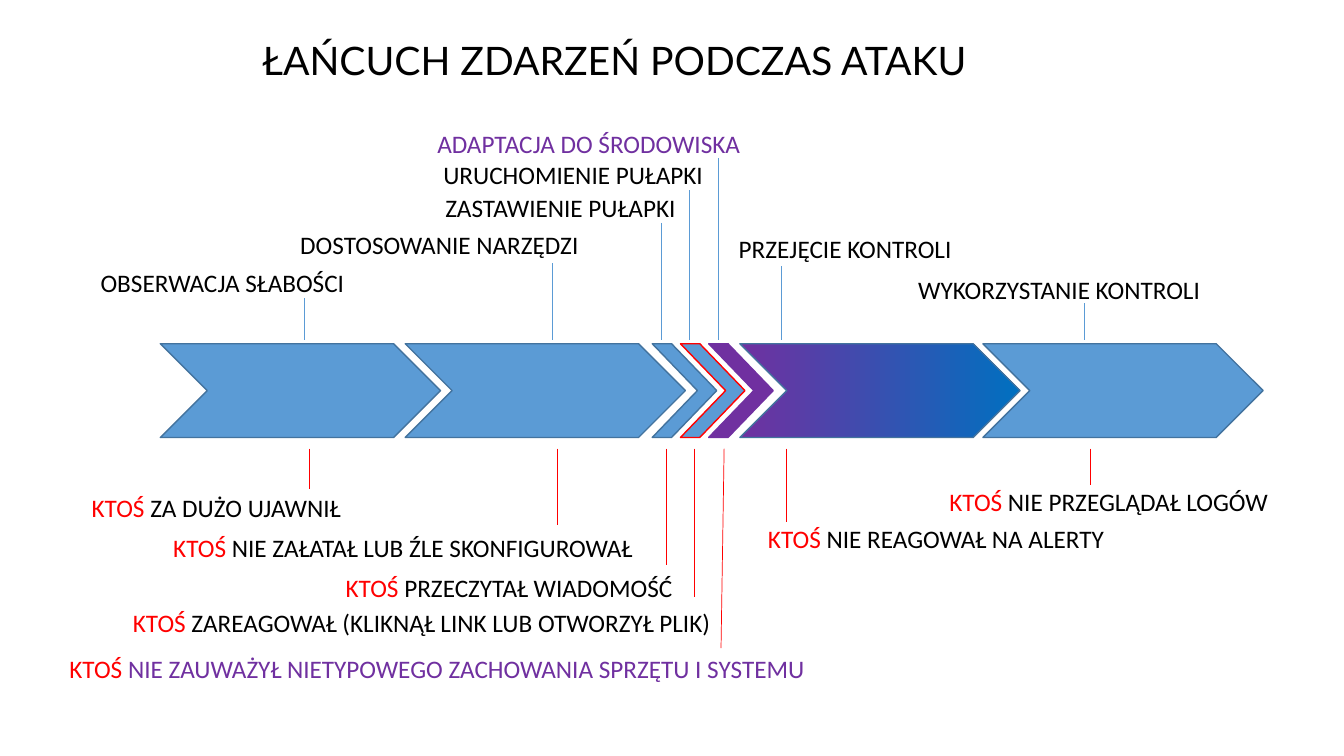
from lxml.etree import SubElement
from pptx import Presentation
from pptx.dml.color import RGBColor
from pptx.enum.shapes import MSO_CONNECTOR as Connector, MSO_SHAPE as Shape
from pptx.enum.text import MSO_AUTO_SIZE as AutoSize, PP_ALIGN as Align
from pptx.oxml.ns import qn
from pptx.util import Inches, Pt

BLACK, RED, PURPLE = "000000", "FF0000", "7030A0"
BLUE, DEEP_BLUE, EDGE = "5B9BD5", "0070C0", "43739E"

# All positions are percentages of the slide's width and height
TITLE = "ŁAŃCUCH ZDARZEŃ PODCZAS ATAKU"
WHO = "KTOŚ"

# Arrow: left, width, fill (two colours make a gradient), outline
WIDE, NARROW = 20.85, 4.8
ARROWS = [
    (11.93, WIDE, [BLUE], EDGE),
    (30.15, WIDE, [BLUE], EDGE),
    (48.53, NARROW, [BLUE], EDGE),
    (50.63, NARROW, [BLUE], RED),
    (52.73, NARROW, [PURPLE], PURPLE),
    (55.05, WIDE, [PURPLE, DEEP_BLUE], EDGE),
    (73.13, WIDE, [BLUE], EDGE),
]

# Stage above its arrow: text, colour, left, top, width, line x, line start
STAGES = [
    ("OBSERWACJA SŁABOŚCI", BLACK, 6.75, 34.67, 19.8, 22.65, 39.47),
    ("DOSTOSOWANIE NARZĘDZI", BLACK, 21.6, 29.73, 22.35, 41.1, 34.8),
    ("ZASTAWIENIE PUŁAPKI", BLACK, 32.4, 24.8, 18.75, 49.2, 29.47),
    ("URUCHOMIENIE PUŁAPKI", BLACK, 32.25, 20.4, 21, 51.3, 25.2),
    ("ADAPTACJA DO ŚRODOWISKA", PURPLE, 31.8, 16.27, 24.23, 53.48, 20.93),
    ("PRZEJĘCIE KONTROLI", BLACK, 54.23, 30.27, 17.48, 58.13, 35.2),
    ("WYKORZYSTANIE KONTROLI", BLACK, 67.58, 35.6, 22.65, 80.7, 40.13),
]

# Human error below the same arrow: text, colour, left, top, width, line end, line slant
ERRORS = [
    (" ZA DUŻO UJAWNIŁ", BLACK, 6.08, 64.4, 20.18, 64.67, 0),
    (" NIE ZAŁATAŁ LUB ŹLE SKONFIGUROWAŁ", BLACK, 12.15, 69.73, 36, 69.47, 0),
    (" PRZECZYTAŁ WIADOMOŚĆ", BLACK, 24.98, 75.07, 26.03, 74.8, 0),
    (" ZAREAGOWAŁ (KLIKNĄŁ LINK LUB OTWORZYŁ PLIK)", BLACK, 9.15, 79.73, 44.48, 78.93, 0),
    (" NIE ZAUWAŻYŁ NIETYPOWEGO ZACHOWANIA SPRZĘTU I SYSTEMU", PURPLE,
     4.43, 85.73, 56.63, 85.73, -0.23),
    (" NIE REAGOWAŁ NA ALERTY", BLACK, 56.4, 68.53, 26.78, 69.07, 0),
    (" NIE PRZEGLĄDAŁ LOGÓW", BLACK, 69.9, 63.73, 25.43, 64.13, 0),
]

ARROW_TOP, ARROW_HEIGHT = 45.47, 12.4
UPPER_LINE_END, LOWER_LINE_START, LOWER_LINE_SHIFT = 44.93, 59.33, 0.4
LABEL_HEIGHT = 5.33

deck = Presentation()
deck.slide_width, deck.slide_height = Inches(13.33), Inches(7.5)
page = deck.slides.add_slide(deck.slide_layouts[6])


def color(value):
    return RGBColor.from_string(value)


def across(share):
    return int(deck.slide_width * share / 100)


def down(share):
    return int(deck.slide_height * share / 100)


def add_text(spans, left, top, width, height=LABEL_HEIGHT, size=18,
             font="Calibri", align=Align.LEFT, wrap=False):
    box = page.shapes.add_textbox(across(left), down(top), across(width), down(height))
    frame = box.text_frame
    frame.word_wrap = wrap
    frame.auto_size = AutoSize.SHAPE_TO_FIT_TEXT
    para = frame.paragraphs[0]
    para.alignment = align
    for text, tint in spans:
        span = para.add_run()
        span.text = text
        span.font.size, span.font.name = Pt(size), font
        span.font.color.rgb = color(tint)


def add_line(x1, y1, x2, y2, tint):
    line = page.shapes.add_connector(
        Connector.STRAIGHT, across(x1), down(y1), across(x2), down(y2))
    line.line.color.rgb = color(tint)
    line.line.width = Pt(0.5)
    SubElement(line._element.spPr, qn("a:effectLst"))


def add_arrow(left, width, fills, outline):
    arrow = page.shapes.add_shape(
        Shape.CHEVRON, across(left), down(ARROW_TOP), across(width), down(ARROW_HEIGHT))
    arrow.shadow.inherit = False
    arrow.adjustments[0] = 0.7 if width == NARROW else 0.5
    if len(fills) == 1:
        arrow.fill.solid()
        arrow.fill.fore_color.rgb = color(fills[0])
    else:
        arrow.fill.gradient()
        arrow.fill.gradient_angle = 0
        for stop, tint in zip(arrow.fill.gradient_stops, fills):
            stop.color.rgb = color(tint)
    arrow.line.color.rgb = color(outline)
    arrow.line.width = Pt(1)


# Chain of arrows
for arrow_row in ARROWS:
    add_arrow(*arrow_row)

# Stages above and errors below, each with its line
for stage, error in zip(STAGES, ERRORS):
    text, tint, left, top, width, line_x, line_start = stage
    add_text([(text, tint)], left, top, width)
    add_line(line_x, line_start, line_x, UPPER_LINE_END, BLUE)

    text, tint, left, top, width, line_end, slant = error
    add_text([(WHO, RED), (text, tint)], left, top, width)
    lower_x = line_x + LOWER_LINE_SHIFT
    add_line(lower_x, LOWER_LINE_START, lower_x + slant, line_end, RED)

# Title
add_text([(TITLE, BLACK)], 12, 4.13, 67.43, 7.6, size=28, font="Lato",
         align=Align.CENTER, wrap=True)

deck.save("out.pptx")
